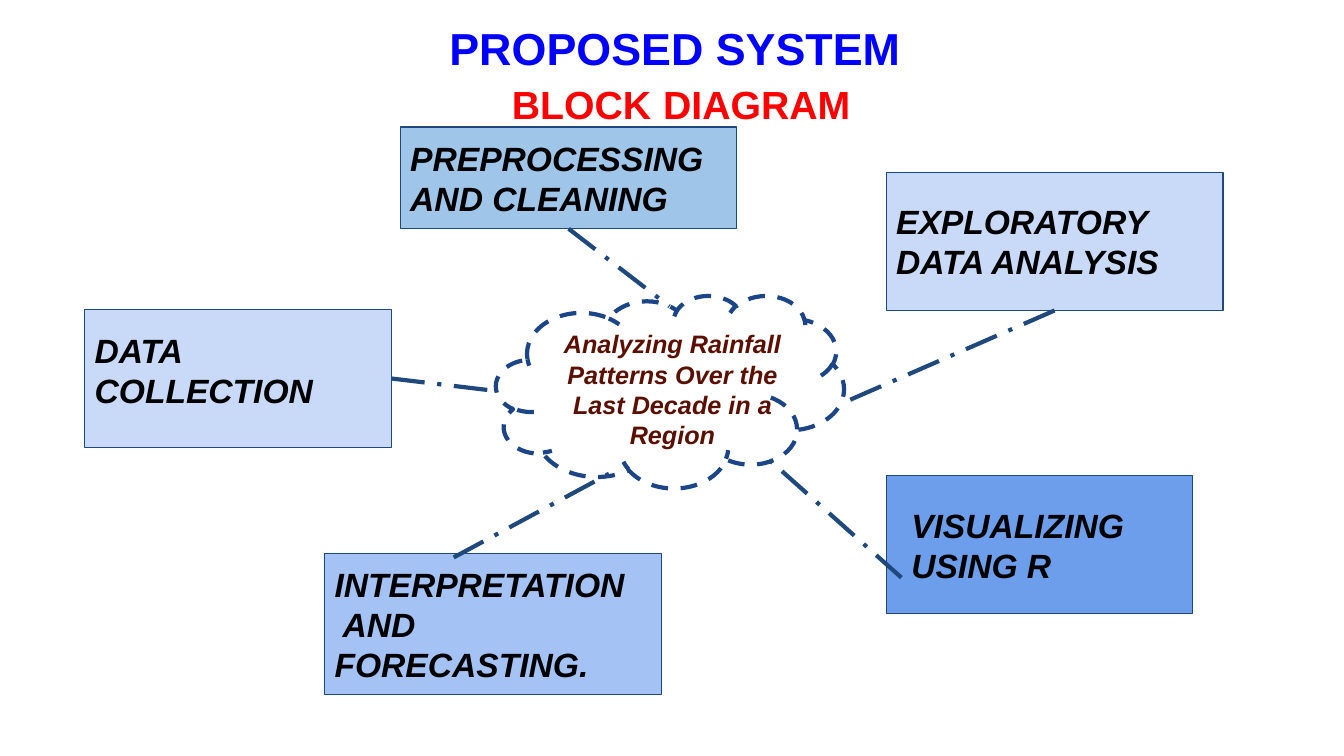
from dataclasses import dataclass
from typing import Optional

from lxml import etree
from pptx import Presentation
from pptx.dml.color import RGBColor
from pptx.enum import dml, shapes, text
from pptx.oxml import ns
from pptx.util import Inches, Pt

FONT = "Arial"
WHITE = RGBColor(0xFF, 0xFF, 0xFF)
BLACK = RGBColor(0x00, 0x00, 0x00)
BLUE = RGBColor(0x00, 0x00, 0xFF)
RED = RGBColor(0xFF, 0x00, 0x00)
NAVY = RGBColor(0x1F, 0x49, 0x7D)
CLOUD_NAVY = RGBColor(0x1C, 0x45, 0x87)
MAROON = RGBColor(0x5B, 0x0F, 0x00)
PALE_BLUE = RGBColor(0xC9, 0xDA, 0xF8)
SOFT_BLUE = RGBColor(0xA4, 0xC2, 0xF4)
SKY_BLUE = RGBColor(0x9F, 0xC5, 0xE8)
STRONG_BLUE = RGBColor(0x6D, 0x9E, 0xEB)

Area = tuple[float, float, float, float]
Point = tuple[float, float]
BOTTOM, RIGHT = 2, 3


@dataclass
class Stage:
    label: str
    area: Area
    label_area: Area
    fill: RGBColor
    box_end: Point
    cloud_end: Point
    side: Optional[int] = None
    preset: shapes.MSO_SHAPE = shapes.MSO_SHAPE.RECTANGLE


STAGES = [
    Stage("EXPLORATORY DATA ANALYSIS", (8.79, 1.71, 3.34, 1.37), (8.79, 1.89, 3.34, 1),
          PALE_BLUE, (10.46, 3.08), (8.4, 3.98), BOTTOM, shapes.MSO_SHAPE.FLOWCHART_PROCESS),
    Stage("VISUALIZING USING R", (8.79, 4.72, 3.04, 1.37), (8.94, 4.91, 3.04, 1),
          STRONG_BLUE, (8.94, 5.73), (7.56, 4.5)),
    Stage("PREPROCESSING AND CLEANING", (3.97, 1.26, 3.34, 1.01), (3.97, 1.27, 3.45, 1),
          SKY_BLUE, (5.7, 2.27), (6.64, 3.04), BOTTOM),
    Stage("DATA COLLECTION", (0.84, 3.07, 3.04, 1.37), (0.84, 3.17, 2.52, 1),
          PALE_BLUE, (3.83, 3.77), (4.93, 3.88), RIGHT),
    Stage("INTERPRETATION\n AND FORECASTING.", (3.22, 5.49, 3.34, 1.4), (3.22, 5.49, 3.34, 1.4),
          SOFT_BLUE, (4.5, 5.53), (6.04, 4.7)),
]


def write(paragraph, content: str, *, size: float, color: RGBColor, italic: bool = False,
          align=text.PP_ALIGN.LEFT, before: float = 0) -> None:
    paragraph.alignment = align
    paragraph.space_before = Pt(before)
    run = paragraph.add_run()
    run.text = content
    run.font.name = FONT
    run.font.size = Pt(size)
    run.font.bold = True
    run.font.italic = italic
    run.font.color.rgb = color


def add_block(slide, preset: shapes.MSO_SHAPE, area: Area, fill: RGBColor,
              line: RGBColor, width: float):
    block = slide.shapes.add_shape(preset, *map(Inches, area))
    block.shadow.inherit = False
    block.fill.solid()
    block.fill.fore_color.rgb = fill
    block.line.color.rgb = line
    block.line.width = Pt(width)
    return block


def add_label(slide, content: str, area: Area, **style) -> None:
    frame = slide.shapes.add_textbox(*map(Inches, area)).text_frame
    frame.word_wrap = True
    frame.margin_left = frame.margin_right = Inches(0.1)
    frame.margin_top = frame.margin_bottom = Inches(0.1)
    for index, line in enumerate(content.split("\n")):
        paragraph = frame.add_paragraph() if index else frame.paragraphs[0]
        write(paragraph, line, italic=True, **style)


def add_link(slide, stage: Stage, box) -> None:
    points = map(Inches, stage.box_end + stage.cloud_end)
    link = slide.shapes.add_connector(shapes.MSO_CONNECTOR.STRAIGHT, *points)
    if stage.side is not None:
        link.begin_connect(box, stage.side)
    link.line.color.rgb = NAVY
    link.line.width = Pt(3)
    link.line.dash_style = dml.MSO_LINE.LONG_DASH_DOT
    etree.SubElement(link._element.spPr, ns.qn("a:effectLst"))


def add_title(slide) -> None:
    title = slide.shapes.title
    title.left, title.top, title.width, title.height = map(Inches, (2.49, 0.14, 8.41, 1.18))
    frame = title.text_frame
    frame.margin_left = frame.margin_right = frame.margin_bottom = 0
    frame.margin_top = Inches(0.07)
    frame.vertical_anchor = text.MSO_ANCHOR.TOP
    frame.auto_size = text.MSO_AUTO_SIZE.NONE
    frame.word_wrap = True
    center = text.PP_ALIGN.CENTER
    write(frame.paragraphs[0], "PROPOSED SYSTEM", size=32, color=BLUE, align=center, before=5.4)
    subtitle = frame.add_paragraph()
    write(subtitle, "BLOCK\tDIAGRAM", size=28, color=RED, align=center, before=4)
    # Indent and tab stop between the two words
    properties = subtitle._p.get_or_add_pPr()
    properties.set("marL", str(Inches(0.12)))
    properties.set("indent", "0")
    tabs = etree.SubElement(properties, ns.qn("a:tabLst"))
    etree.SubElement(tabs, ns.qn("a:tab"), pos=str(Inches(1.83)), algn="l")


def main() -> None:
    presentation = Presentation()
    presentation.slide_width = Inches(13.33)
    presentation.slide_height = Inches(7.5)
    slide = presentation.slides.add_slide(presentation.slide_layouts[5])
    add_title(slide)

    # Central topic
    cloud = add_block(slide, shapes.MSO_SHAPE.CLOUD, (4.92, 2.93, 3.45, 1.91),
                      WHITE, CLOUD_NAVY, 3)
    cloud.line.dash_style = dml.MSO_LINE.DASH

    # Stages: boxes, then labels, then links to the cloud
    boxes = [add_block(slide, stage.preset, stage.area, stage.fill, NAVY, 0.75)
             for stage in STAGES]
    for stage in STAGES:
        add_label(slide, stage.label, stage.label_area, size=24, color=BLACK)
    for stage, box in zip(STAGES, boxes):
        add_link(slide, stage, box)

    add_label(slide, "Analyzing Rainfall Patterns Over the Last Decade in a Region",
              (5.34, 3.16, 2.66, 1.42), size=18, color=MAROON, align=text.PP_ALIGN.CENTER)
    presentation.save("out.pptx")


if __name__ == "__main__":
    main()
